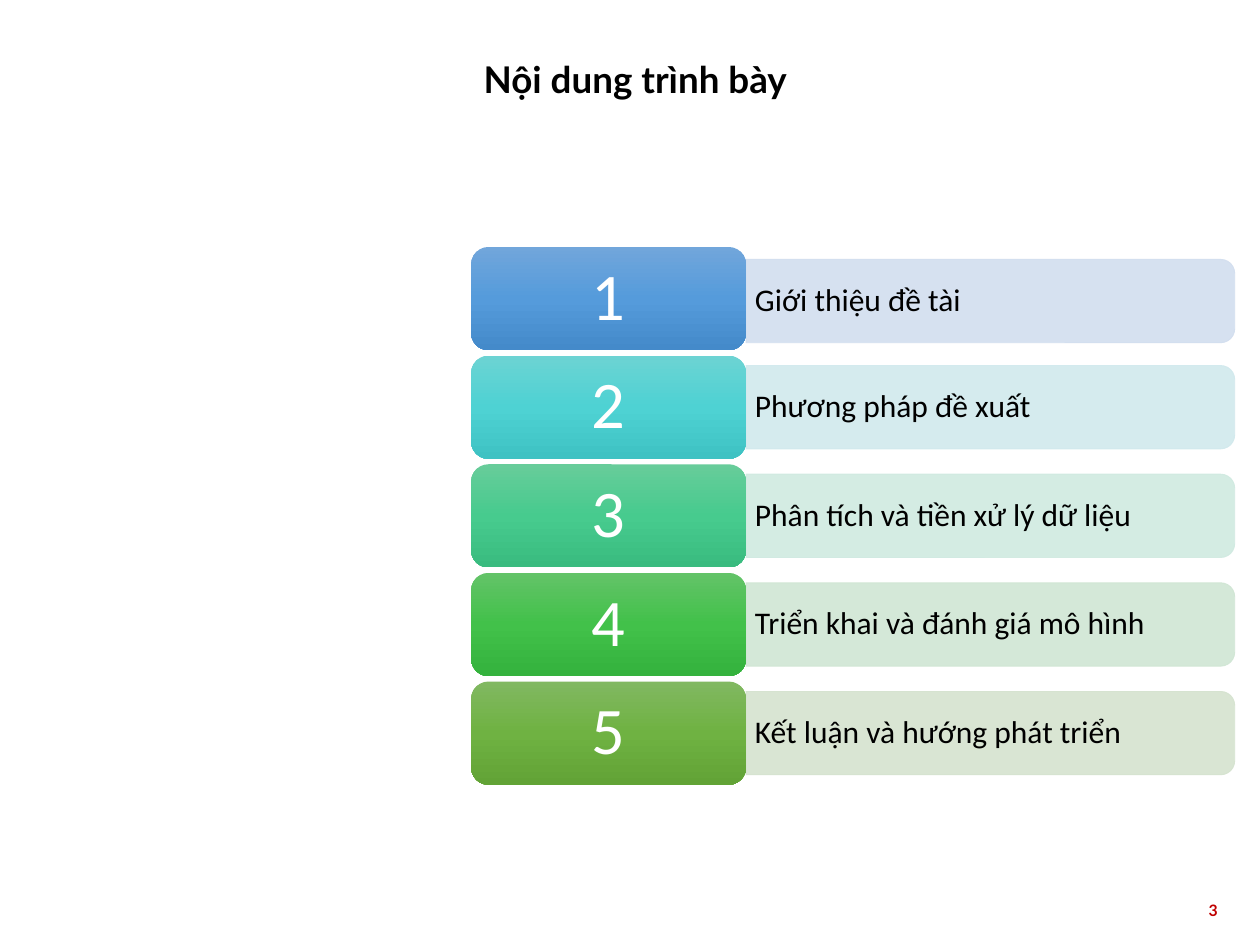
import copy

import pptx
import pptx.dml.color
import pptx.enum.shapes
import pptx.enum.text
import pptx.oxml.ns
import pptx.util
from lxml import etree

Cm = pptx.util.Cm
Kind = pptx.enum.shapes.MSO_SHAPE
Align = pptx.enum.text.PP_ALIGN
Anchor = pptx.enum.text.MSO_ANCHOR
qn = pptx.oxml.ns.qn


def color(code):
    return pptx.dml.color.RGBColor.from_string(code)


def write(shape, text, size, font, code, bold=False, align=Align.LEFT,
          anchor=Anchor.TOP, inset=(0.25, 0.13), space=0.9):
    """Put one run of text in a shape; inset is (side, top) in cm."""
    frame = shape.text_frame
    frame.word_wrap = True
    frame.vertical_anchor = anchor
    frame.margin_left = frame.margin_right = Cm(inset[0])
    frame.margin_top = frame.margin_bottom = Cm(inset[1])
    para = frame.paragraphs[0]
    para.alignment = align
    para.line_spacing = space
    run = para.add_run()
    run.text = text
    run.font.size = pptx.util.Pt(size)
    run.font.name = font
    run.font.bold = bold
    run.font.color.rgb = color(code)


deck = pptx.Presentation()
deck.slide_width, deck.slide_height = Cm(25.4), Cm(19.05)
slide = deck.slides.add_slide(deck.slide_layouts[6])
shapes = slide.shapes

title = shapes.add_textbox(Cm(9.5), Cm(1.12), Cm(15.39), Cm(1.22))
write(title, "Nội dung trình bày", 21, "Lato", "000000", bold=True)

# Topic, bar colour, tile gradient from top to bottom
topics = [
    ("Giới thiệu đề tài", "D2DEEF", ("71A6DB", "559BDB", "448ACA")),
    ("Phương pháp đề xuất", "D1E9ED", ("6CD3D3", "4ED2D3", "3EC2C3")),
    ("Phân tích và tiền xử lý dữ liệu", "D0EAE1", ("67CC9A", "47CB8E", "39BB7F")),
    ("Triển khai và đánh giá mô hình", "D0E6D4", ("63C368", "42C14A", "34B23D")),
    ("Kết luận và hướng phát triển", "D5E3CF", ("81B861", "6FB242", "62A336")),
]
left, top, step = 9.5, 4.98, 2.19
tile_w, tile_h = 5.54, 2.08
bar_w, bar_h = 9.85, 1.68
bar_x = left + tile_w

for i, (topic, tint, stops) in enumerate(topics):
    y = top + i * step
    mid = y + tile_h / 2 + (0.05 if i == 0 else 0)

    # Turned a quarter so that the round corners face right
    bar = shapes.add_shape(
        Kind.ROUND_2_SAME_RECTANGLE, Cm(bar_x + (bar_w - bar_h) / 2),
        Cm(mid - bar_w / 2), Cm(bar_h), Cm(bar_w))
    bar.rotation = 90
    bar.shadow.inherit = False
    bar.fill.solid()
    bar.fill.fore_color.rgb = color(tint)
    bar.line.color.rgb = color(tint)
    bar.line.width = pptx.util.Pt(0.5)
    for paint in bar._element.spPr.iter(qn("a:srgbClr")):
        etree.SubElement(paint, qn("a:alpha"), val="90000")

    label = shapes.add_textbox(Cm(bar_x), Cm(mid - 0.75), Cm(9.78), Cm(1.5))
    write(label, topic, 18, "Calibri", "000000",
          anchor=Anchor.MIDDLE, inset=(0.18, 0.1))

    tile = shapes.add_shape(
        Kind.ROUNDED_RECTANGLE, Cm(left), Cm(y), Cm(tile_w), Cm(tile_h))
    tile.shadow.inherit = False
    tile.line.fill.background()
    tile.fill.gradient()
    tile.fill.gradient_angle = 270
    first = tile._element.spPr.find(".//" + qn("a:gs"))
    first.addnext(copy.deepcopy(first))
    for stop, code, place in zip(tile.fill.gradient_stops, stops, (0, 0.5, 1)):
        stop.color.rgb = color(code)
        stop.position = place
    write(tile, str(i + 1), 38, "Calibri", "FFFFFF", align=Align.CENTER,
          anchor=Anchor.MIDDLE, inset=(0.4, 0.2))

page = shapes.add_textbox(Cm(19.08), Cm(18.03), Cm(5.72), Cm(1.02))
write(page, "3", 9, "Lato", "C00000", bold=True, align=Align.RIGHT, space=1.0)

deck.save("out.pptx")
